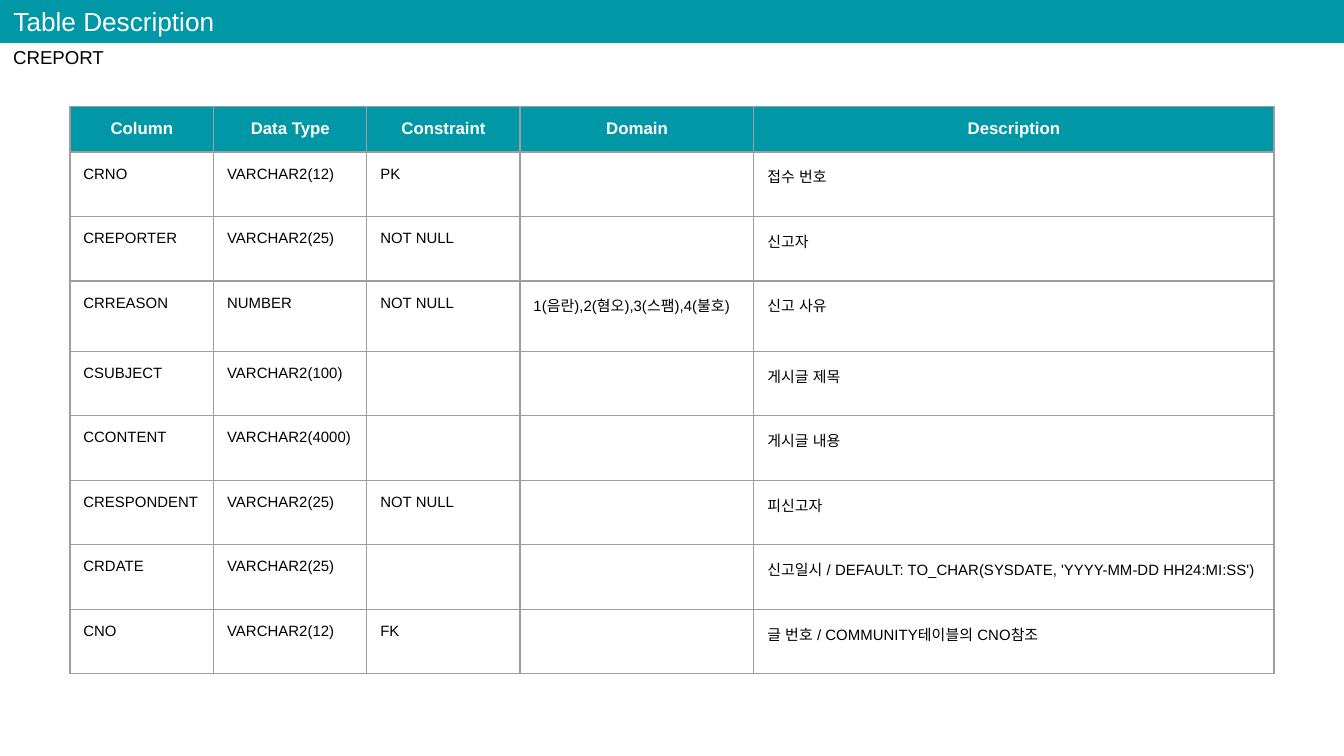
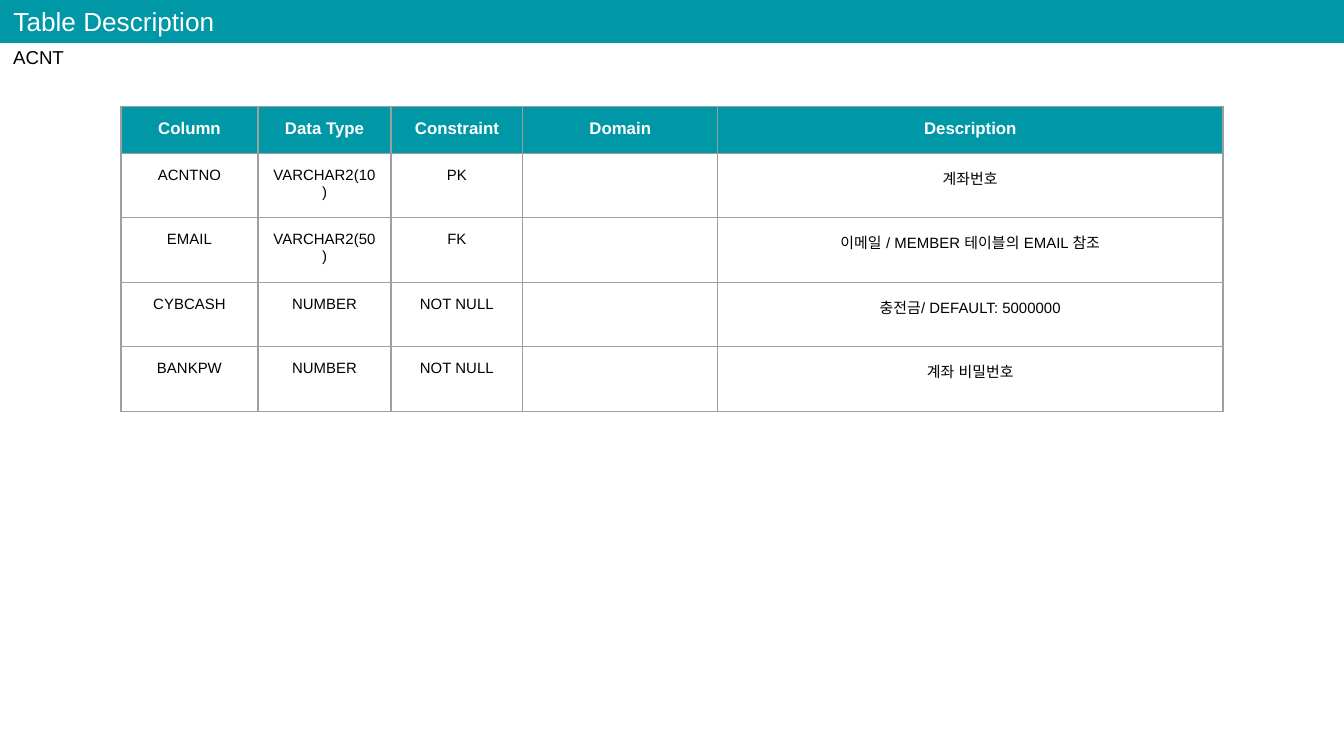
from dataclasses import dataclass

from lxml.etree import SubElement
from pptx import Presentation
from pptx.dml.color import RGBColor as RGB
from pptx.enum.lang import MSO_LANGUAGE_ID as LANG
from pptx.enum.shapes import MSO_SHAPE as SHAPE
from pptx.enum.text import MSO_ANCHOR as ANCHOR, MSO_AUTO_SIZE as AUTO, PP_ALIGN as ALIGN
from pptx.oxml.ns import qn
from pptx.util import Inches, Pt


@dataclass(frozen=True)
class Theme:
    font: str = "Arial"
    teal: str = "0097A7"
    white: str = "FFFFFF"
    black: str = "000000"
    grid: str = "9E9E9E"
    title: int = 14
    subtitle: int = 10
    header: int = 9
    body: int = 8
    inset: float = 0.1
    border: float = 0.75


T = Theme()
W = 10
H = W * 9 / 16
BAND_H = 0.32
LABEL_W = 2.82
TABLE_TOP = 0.79
ROW_H = 0.48
HEADERS = ("Column", "Data Type", "Constraint", "Domain", "Description")

# Content: name, left edge, column widths, header height, body alignment, rows
TABLES = [
    ("CREPORT", 0.52, (1.07, 1.14, 1.14, 1.74, 3.87), 0.34, ALIGN.LEFT, [
        ("CRNO", "VARCHAR2(12)", "PK", "", "접수 번호"),
        ("CREPORTER", "VARCHAR2(25)", "NOT NULL", "", "신고자"),
        ("CRREASON", "NUMBER", "NOT NULL", "1(음란),2(혐오),3(스팸),4(불호)", "신고 사유"),
        ("CSUBJECT", "VARCHAR2(100)", "", "", "게시글 제목"),
        ("CCONTENT", "VARCHAR2(4000)", "", "", "게시글 내용"),
        ("CRESPONDENT", "VARCHAR2(25)", "NOT NULL", "", "피신고자"),
        ("CRDATE", "VARCHAR2(25)", "", "",
         "신고일시 / DEFAULT: TO_CHAR(SYSDATE, 'YYYY-MM-DD HH24:MI:SS')"),
        ("CNO", "VARCHAR2(12)", "FK", "", "글 번호 / COMMUNITY테이블의 CNO참조"),
    ]),
    ("ACNT", 0.9, (1.02, 0.99, 0.98, 1.45, 3.76), 0.35, ALIGN.CENTER, [
        ("ACNTNO", "VARCHAR2(10)", "PK", "", "계좌번호"),
        ("EMAIL", "VARCHAR2(50)", "FK", "", "이메일 / MEMBER 테이블의 EMAIL 참조"),
        ("CYBCASH", "NUMBER", "NOT NULL", "", "충전금/ DEFAULT: 5000000"),
        ("BANKPW", "NUMBER", "NOT NULL", "", "계좌 비밀번호"),
    ]),
]


def write(box, text, size, color, align=ALIGN.LEFT, bold=False):
    """Fill a cell or text frame with one styled paragraph and even insets."""
    box.margin_left = box.margin_right = Inches(T.inset)
    box.margin_top = box.margin_bottom = Inches(T.inset)
    box.vertical_anchor = ANCHOR.TOP
    box.text = text
    tf = getattr(box, "text_frame", box)
    p = tf.paragraphs[0]
    p.alignment = align
    p.font.name, p.font.size, p.font.bold = T.font, Pt(size), bold
    p.font.color.rgb = RGB.from_string(color)
    p.runs[0].font.language_id = LANG.KOREAN


def add_borders(cell):
    tcPr = cell._tc.get_or_add_tcPr()
    for side in ("a:lnL", "a:lnR", "a:lnT", "a:lnB"):
        ln = SubElement(tcPr, qn(side), w=str(Pt(T.border)))
        fill = SubElement(ln, qn("a:solidFill"))
        SubElement(fill, qn("a:srgbClr"), val=T.grid)


prs = Presentation()
prs.slide_width, prs.slide_height = Inches(W), Inches(H)

for name, left, widths, header_h, align, rows in TABLES:
    s = prs.slides.add_slide(prs.slide_layouts[5])

    # Column description table
    heights = [header_h] + [ROW_H] * len(rows)
    table = s.shapes.add_table(
        len(heights), len(widths), Inches(left), Inches(TABLE_TOP),
        Inches(sum(widths)), Inches(sum(heights))).table
    table.horz_banding = False
    for column, width in zip(table.columns, widths):
        column.width = Inches(width)
    for row, height in zip(table.rows, heights):
        row.height = Inches(height)
    for i, values in enumerate([HEADERS, *rows]):
        for j, value in enumerate(values):
            cell = table.cell(i, j)
            add_borders(cell)
            if i == 0:
                cell.fill.solid()
                cell.fill.fore_color.rgb = RGB.from_string(T.teal)
                write(cell, value, T.header, T.white, ALIGN.CENTER, bold=True)
            else:
                cell.fill.background()
                if value:
                    write(cell, value, T.body, T.black, align)

    # Table name
    label = s.shapes.add_textbox(0, Inches(0.26), Inches(LABEL_W), Inches(0.37))
    label.text_frame.word_wrap = True
    write(label.text_frame, name, T.subtitle, T.black)

    # Title band
    band = s.shapes.add_shape(SHAPE.RECTANGLE, 0, 0, Inches(W), Inches(BAND_H))
    band.shadow.inherit = False
    band.fill.solid()
    band.fill.fore_color.rgb = RGB.from_string(T.teal)
    band.line.fill.background()

    # Title, brought in front of the band
    title = s.shapes.title
    title.left, title.top = 0, Inches(-0.06)
    title.width, title.height = Inches(LABEL_W), Inches(0.44)
    title.text_frame.auto_size = AUTO.NONE
    write(title.text_frame, "Table Description", T.title, T.white)
    band.element.addnext(title.element)

prs.save("out.pptx")
